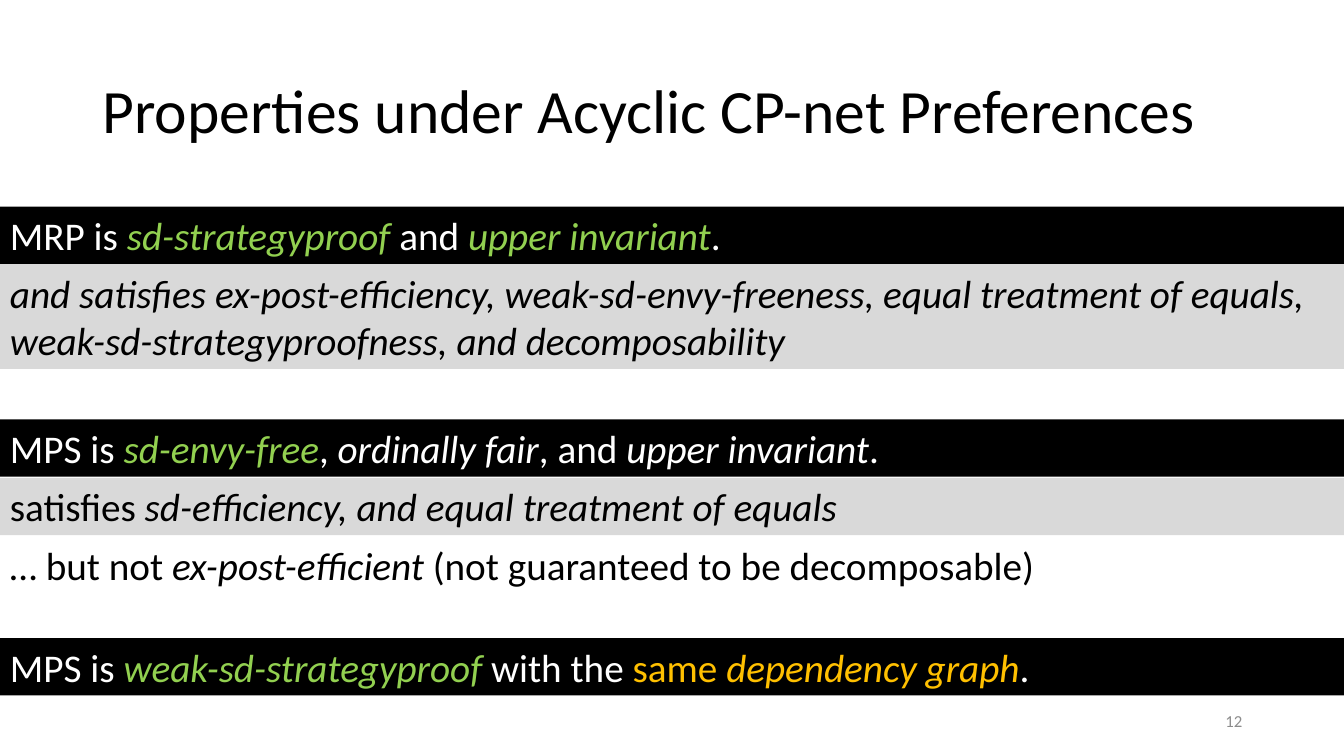
import pptx
import pptx.dml.color
import pptx.enum.shapes
import pptx.enum.text
import pptx.util

Inches = pptx.util.Inches
ALIGN = pptx.enum.text.PP_ALIGN
ANCHOR = pptx.enum.text.MSO_ANCHOR
WIDTH = 13.33
BLACK, WHITE, GRAY = "000000", "FFFFFF", "D9D9D9"
GREEN, ORANGE = "92D050", "FFC000"


def color(value):
    return pptx.dml.color.RGBColor.from_string(value)


def write(box, spans, size, anchor=ANCHOR.TOP, align=ALIGN.LEFT):
    """Fill a box with spans of (text, colour, italic)."""
    frame = box.text_frame
    frame.word_wrap = True
    frame.vertical_anchor = anchor
    para = frame.paragraphs[0]
    para.alignment = align
    for text, shade, italic in spans:
        span = para.add_run()
        span.text = text
        span.font.name = "Calibri"
        span.font.size = pptx.util.Pt(size)
        span.font.italic = italic
        span.font.color.rgb = color(shade)
    return para


deck = pptx.Presentation()
deck.slide_width = Inches(WIDTH)
deck.slide_height = Inches(7.5)
page = deck.slides.add_slide(deck.slide_layouts[6])

# Title
title = page.shapes.add_textbox(Inches(0.92), Inches(0.4), Inches(11.5), Inches(1.45))
heading = write(title, [("Properties under Acyclic CP-net Preferences", BLACK, False)],
                44, ANCHOR.MIDDLE)
heading.line_spacing = 0.9

# Slide number
number = page.shapes.add_textbox(Inches(9.42), Inches(6.95), Inches(3), Inches(0.4))
write(number, [("12", "8C8C8C", False)], 12, ANCHOR.MIDDLE, ALIGN.RIGHT)

# Full-width bands: top, height, fill, spans
bands = [
    (2.05, 0.57, BLACK, [
        ("MRP is ", WHITE, False), ("sd-strategyproof ", GREEN, True),
        ("and ", WHITE, False), ("upper invariant", GREEN, True),
        (".", WHITE, False)]),
    (2.62, 1.04, GRAY, [
        ("and satisfies ex-post-efficiency, weak-sd-envy-freeness, "
         "equal treatment of equals, weak-sd-strategyproofness, "
         "and decomposability", BLACK, True)]),
    (4.16, 0.57, BLACK, [
        ("MPS is ", WHITE, False), ("sd-envy-free", GREEN, True),
        (", ", WHITE, False), ("ordinally fair", WHITE, True),
        (", and ", WHITE, False), ("upper invariant", WHITE, True),
        (".", WHITE, False)]),
    (4.74, 0.57, GRAY, [
        ("satisfies ", BLACK, False),
        ("sd-efficiency, and equal treatment of equals", BLACK, True)]),
    (5.32, 0.57, None, [
        ("… but not ", BLACK, False), ("ex-post-efficient", BLACK, True),
        (" (not guaranteed to be decomposable)", BLACK, False)]),
    (6.33, 0.57, BLACK, [
        ("MPS is ", WHITE, False), ("weak-sd-strategyproof", GREEN, True),
        (" with the ", WHITE, False), ("same ", ORANGE, False),
        ("dependency graph", ORANGE, True), (".", WHITE, False)]),
]
for top, height, fill, spans in bands:
    place = (Inches(0), Inches(top), Inches(WIDTH), Inches(height))
    if fill:
        band = page.shapes.add_shape(pptx.enum.shapes.MSO_SHAPE.RECTANGLE, *place)
        band.shadow.inherit = False
        band.fill.solid()
        band.fill.fore_color.rgb = color(fill)
        band.line.fill.background()
    else:
        band = page.shapes.add_textbox(*place)
    write(band, spans, 28)
    band.text_frame.auto_size = pptx.enum.text.MSO_AUTO_SIZE.SHAPE_TO_FIT_TEXT

deck.save("out.pptx")
